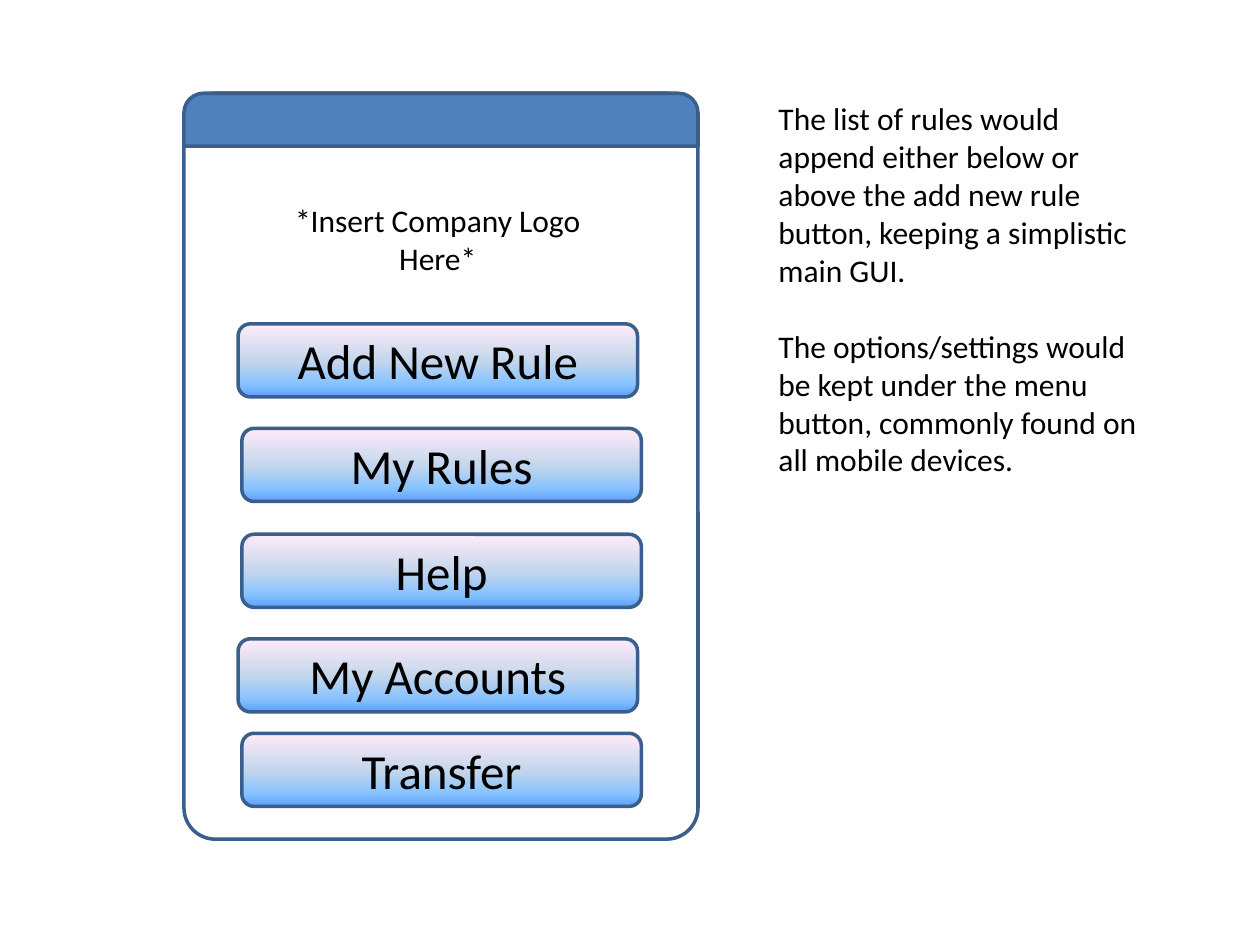
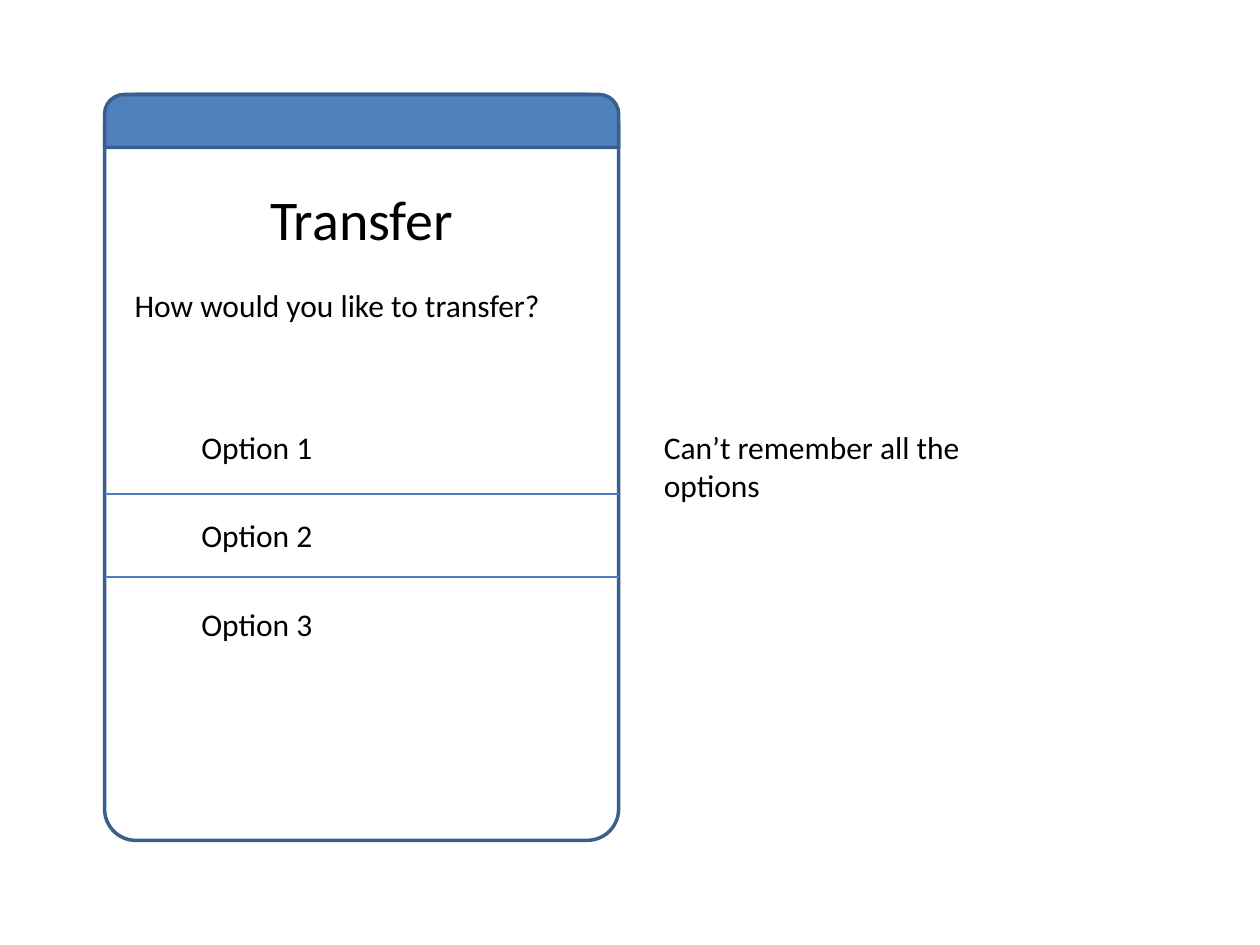
from lxml.etree import SubElement
from pptx import Presentation
from pptx.dml.color import RGBColor
from pptx.enum.shapes import MSO_CONNECTOR, MSO_SHAPE
from pptx.enum.text import MSO_ANCHOR, PP_ALIGN
from pptx.oxml.ns import qn
from pptx.util import Inches, Pt

BLACK = RGBColor(0x00, 0x00, 0x00)
BAND = RGBColor(0x4F, 0x81, 0xBD)
OUTLINE = RGBColor(0x3A, 0x5F, 0x8C)
DIVIDER = RGBColor(0x4B, 0x7E, 0xBC)
BUTTON_STOPS = [
    (0, RGBColor(0x5E, 0x9E, 0xFF)),
    (17, RGBColor(0x85, 0xC2, 0xFF)),
    (49, RGBColor(0xC4, 0xD6, 0xEB)),
    (100, RGBColor(0xFF, 0xEB, 0xFA)),
]
FONT = "Calibri"
PHONE_W, PHONE_H, BAND_H = 4.08, 5.92, 0.42


def write(sp, paragraphs, size=18, align=PP_ALIGN.LEFT, wrap=True, gap=0):
    """Fill a shape with paragraphs, with a gap in points between them."""
    tf = sp.text_frame
    tf.word_wrap = wrap
    for i, text in enumerate(paragraphs):
        p = tf.add_paragraph() if i else tf.paragraphs[0]
        p.alignment = align
        p.space_before = Pt(gap if i else 0)
        r = p.add_run()
        r.text = text
        r.font.name = FONT
        r.font.size = Pt(size)
        r.font.color.rgb = BLACK


def outlined(slide, kind, left, top, width, height, adjustments=()):
    """Add a preset shape with the shared outline and no shadow."""
    sp = slide.shapes.add_shape(kind, Inches(left), Inches(top),
                                Inches(width), Inches(height))
    for i, value in enumerate(adjustments):
        sp.adjustments[i] = value
    sp.shadow.inherit = False
    sp.line.color.rgb = OUTLINE
    sp.line.width = Pt(2)
    return sp


prs = Presentation()
prs.slide_width, prs.slide_height = Inches(10), Inches(7.5)
title_only, blank = prs.slide_layouts[5], prs.slide_layouts[6]
menu = prs.slides.add_slide(blank)
transfer = prs.slides.add_slide(title_only)

# Phone frame with its top band on both slides
for slide, left, top in [(menu, 1.46, 0.74), (transfer, 0.83, 0.75)]:
    frame = outlined(slide, MSO_SHAPE.ROUNDED_RECTANGLE, left, top,
                     PHONE_W, PHONE_H, [0.061])
    frame.fill.background()
    band = outlined(slide, MSO_SHAPE.ROUND_2_SAME_RECTANGLE, left, top,
                    PHONE_W, BAND_H, [0.369, 0])
    band.fill.solid()
    band.fill.fore_color.rgb = BAND

# Slide 1: main menu
buttons = [
    ("Add New Rule", 1.89, 2.57),
    ("My Rules", 1.92, 3.4),
    ("Help", 1.92, 4.24),
    ("My Accounts", 1.89, 5.07),
    ("Transfer", 1.92, 5.82),
]
for label, left, top in buttons:
    button = outlined(menu, MSO_SHAPE.ROUNDED_RECTANGLE, left, top, 3.17, 0.58)
    button.fill.gradient()
    button.fill.gradient_angle = 90
    stops = button._element.spPr.find(".//" + qn("a:gsLst"))
    stops.clear()
    for position, color in BUTTON_STOPS:
        gs = SubElement(stops, qn("a:gs"), pos=str(position * 1000))
        SubElement(gs, qn("a:srgbClr"), val=str(color))
    button.text_frame.vertical_anchor = MSO_ANCHOR.MIDDLE
    write(button, [label], 28, PP_ALIGN.CENTER)

logo_note = menu.shapes.add_textbox(Inches(1.91), Inches(1.55),
                                    Inches(3.13), Inches(0.4))
write(logo_note, ["*Insert Company Logo Here*"], align=PP_ALIGN.CENTER, wrap=False)

notes = menu.shapes.add_textbox(Inches(6.08), Inches(0.74),
                                Inches(3.17), Inches(3.13))
write(notes, [
    "The list of rules would append either below or above the add new rule "
    "button, keeping a simplistic main GUI.",
    "The options/settings would be kept under the menu button, commonly found "
    "on all mobile devices.",
], gap=22)

# Slide 2: transfer screen
title = transfer.shapes.title
title.left, title.top = Inches(1.5), Inches(1.41)
title.width, title.height = Inches(2.74), Inches(0.64)
write(title, ["Transfer"], 32, PP_ALIGN.CENTER)

texts = [
    ("How would you like to transfer?", 0.97, 2.22, 3.46, 0.4, False),
    ("Can\u2019t remember all the options", 5.17, 3.35, 2.67, 0.71, True),
]
for i in range(3):
    texts.append((f"Option {i + 1}", 1.5, 3.35 + 0.7 * i, 1.58, 0.4, True))
for text, left, top, width, height, wrap in texts:
    box = transfer.shapes.add_textbox(Inches(left), Inches(top),
                                      Inches(width), Inches(height))
    write(box, [text], wrap=wrap)

for y in (3.92, 4.58):
    divider = transfer.shapes.add_connector(
        MSO_CONNECTOR.STRAIGHT, Inches(0.83), Inches(y),
        Inches(0.83 + PHONE_W), Inches(y))
    divider.line.color.rgb = DIVIDER
    divider.line.width = Pt(0.75)
    SubElement(divider._element.spPr, qn("a:effectLst"))

prs.save("out.pptx")
